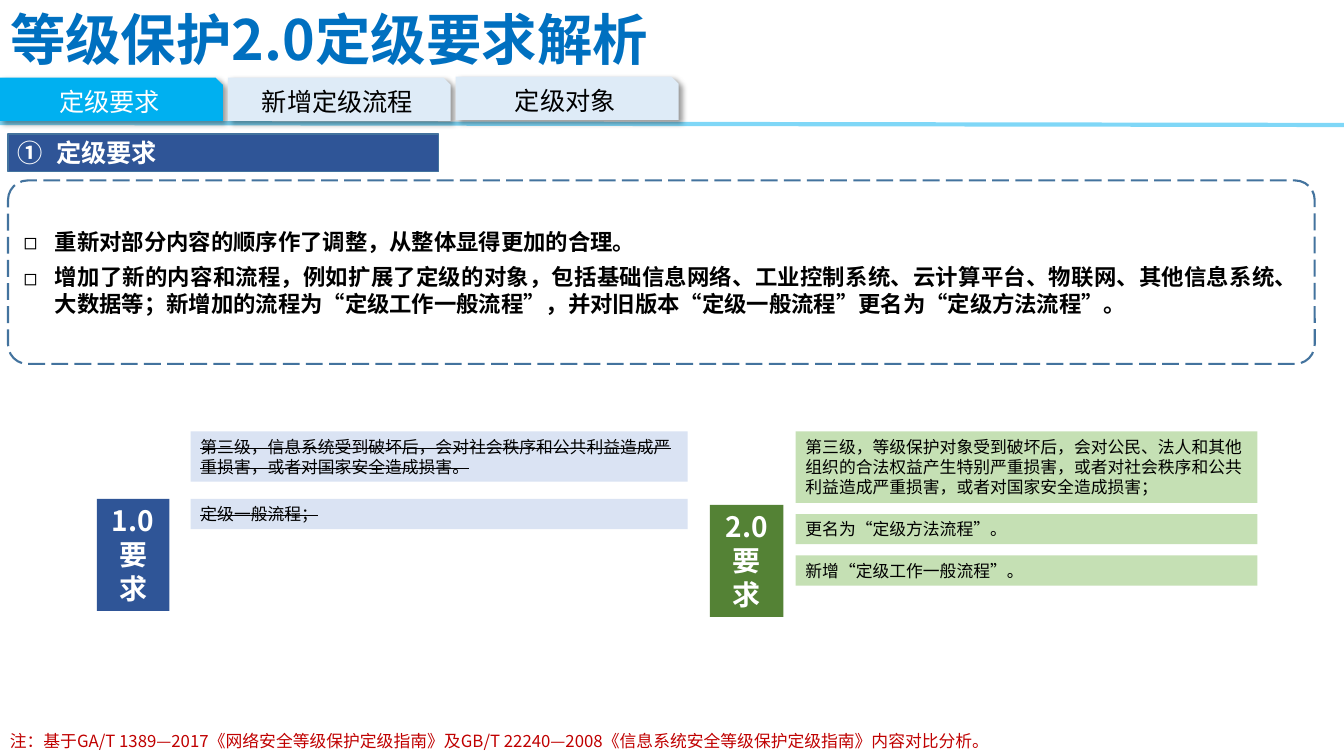
from lxml import etree
from pptx import Presentation
from pptx.dml.color import RGBColor
from pptx.enum.dml import MSO_LINE
from pptx.enum.shapes import MSO_CONNECTOR, MSO_SHAPE
from pptx.enum.text import MSO_ANCHOR, MSO_AUTO_SIZE, PP_ALIGN
from pptx.oxml.ns import qn
from pptx.util import Inches, Pt

RECT, ROUND, SNIP = MSO_SHAPE.RECTANGLE, MSO_SHAPE.ROUNDED_RECTANGLE, MSO_SHAPE.SNIP_1_RECTANGLE
STRAIGHT, LONG_DASH = MSO_CONNECTOR.STRAIGHT, MSO_LINE.LONG_DASH
TOP, MIDDLE, NO_FIT = MSO_ANCHOR.TOP, MSO_ANCHOR.MIDDLE, MSO_AUTO_SIZE.NONE
LEFT, CENTER, JUSTIFY = PP_ALIGN.LEFT, PP_ALIGN.CENTER, PP_ALIGN.JUSTIFY
FONT = "Noto Sans CJK SC"
COLORS = {
    "title": "0070C0", "active": "00B0F0", "tab": "DEEBF7", "navy": "2F5597",
    "outline": "43739E", "old": "DAE3F3", "new": "C5E0B4", "green": "548235",
    "note": "C00000", "black": "000000", "white": "FFFFFF",
}


def rgb(name):
    return RGBColor.from_string(COLORS[name])


def add_xml(parent, tag, **attrs):
    return etree.SubElement(parent, qn(tag), {k: str(v) for k, v in attrs.items()})


class Deck:
    """Builds styled elements on the current slide."""

    def __init__(self):
        self.prs = Presentation()
        self.prs.slide_width, self.prs.slide_height = Inches(13.33), Inches(7.5)
        self.slide = self.prs.slides.add_slide(self.prs.slide_layouts[5])

    def fill_text(self, sp, lines, size, color, align=LEFT, anchor=TOP, bold=False,
                  strike=False, font=FONT, bullet=None, indent=0, after=0):
        tf = sp.text_frame
        tf.word_wrap, tf.auto_size, tf.vertical_anchor = True, NO_FIT, anchor
        for i, line in enumerate(lines):
            p = tf.add_paragraph() if i else tf.paragraphs[0]
            p.alignment = align
            p.space_after = Pt(after)
            if bullet:
                pPr = p._p.get_or_add_pPr()
                pPr.set("marL", str(Inches(indent)))
                pPr.set("indent", str(-Inches(indent)))
                if len(bullet) == 1:
                    add_xml(pPr, "a:buFont", typeface=FONT)
                    add_xml(pPr, "a:buChar", char=bullet)
                else:
                    add_xml(pPr, "a:buAutoNum", type=bullet)
            r = p.add_run()
            r.text = line
            r.font.size, r.font.bold, r.font.name = Pt(size), bold, font
            r.font.color.rgb = rgb(color)
            rPr = r._r.get_or_add_rPr()
            add_xml(rPr, "a:ea", typeface=FONT)
            if strike:
                rPr.set("strike", "sngStrike")

    def title(self, box, text):
        sp = self.slide.shapes.title
        sp.left, sp.top, sp.width, sp.height = map(Inches, box)
        self.fill_text(sp, [text], 39.6, "title", JUSTIFY, MIDDLE, bold=True)

    def text(self, box, line, size, color):
        sp = self.slide.shapes.add_textbox(*map(Inches, box))
        self.fill_text(sp, [line], size, color)

    def shape(self, kind, box, lines, size, color, fill=None, line=0, dash=None,
              radius=None, shadow=False, **style):
        sp = self.slide.shapes.add_shape(kind, *map(Inches, box))
        if radius:
            sp.adjustments[0] = radius
        if fill:
            sp.fill.solid()
            sp.fill.fore_color.rgb = rgb(fill)
        else:
            sp.fill.background()
        if line:
            sp.line.color.rgb = rgb("outline")
            sp.line.width = Pt(line)
            if dash:
                sp.line.dash_style = dash
        else:
            sp.line.fill.background()
        sp.shadow.inherit = False
        if shadow:
            effects = sp._element.spPr.find(qn("a:effectLst"))
            outer = add_xml(effects, "a:outerShdw", blurRad=Pt(4), dist=Pt(3),
                            dir=45 * 60000, algn="tl", rotWithShape=0)
            clr = add_xml(outer, "a:srgbClr", val=COLORS["black"])
            add_xml(clr, "a:alpha", val=40000)
        self.fill_text(sp, lines, size, color, **style)

    def rule(self, x1, y1, x2, y2, color, width, opacity):
        c = self.slide.shapes.add_connector(STRAIGHT, *map(Inches, (x1, y1, x2, y2)))
        c.line.color.rgb = rgb(color)
        c.line.width = Pt(width)
        spPr = c._element.spPr
        add_xml(next(spPr.iter(qn("a:srgbClr"))), "a:alpha", val=opacity * 1000)
        add_xml(spPr, "a:effectLst")

    def tabs(self, tops, labels):
        for i, (top, label) in enumerate(zip(tops, labels)):
            fill, color = ("tab", "black") if i else ("active", "white")
            self.shape(SNIP, (2.26 * i, top, 2.21, 0.43), [label], 18, color, fill,
                       shadow=True, align=CENTER, anchor=MIDDLE)

    def version(self, box, number, badge, left, width, fill, items, strike=False):
        self.shape(RECT, box, [number, "要求"], 20, "white", badge, align=CENTER, bold=True)
        for top, height, text, font in items:
            self.shape(RECT, (left, top, width, height), [text], 12, "black", fill,
                       strike=strike, font=font)


def main():
    deck = Deck()
    deck.rule(0, 1.22, 13.33, 1.24, "active", 3, 50)
    deck.title((0, 0.01, 8.61, 0.75), "等级保护2.0定级要求解析")
    deck.tabs((0.77, 0.77, 0.76), ("定级要求", "新增定级流程", "定级对象"))
    deck.shape(RECT, (0.08, 1.33, 4.27, 0.37), ["定级要求"], 18, "white", "navy", line=1,
               align=JUSTIFY, anchor=MIDDLE, bold=True, bullet="circleNumDbPlain", indent=0.38)
    deck.shape(ROUND, (0.08, 1.79, 12.96, 1.82), [
        "重新对部分内容的顺序作了调整，从整体显得更加的合理。",
        "增加了新的内容和流程，例如扩展了定级的对象，包括基础信息网络、工业控制系统、云计算平台、"
        "物联网、其他信息系统、大数据等；新增加的流程为“定级工作一般流程”，并对旧版本“定级一般流程”"
        "更名为“定级方法流程”。",
    ], 16, "black", line=1.5, dash=LONG_DASH, radius=0.106, align=JUSTIFY,
        anchor=MIDDLE, bold=True, bullet="◻", indent=0.31, after=6)
    deck.version((0.96, 4.95, 0.72, 1.11), "1.0", "navy", 1.89, 4.93, "old", [
        (4.28, 0.5, "第三级，信息系统受到破坏后，会对社会秩序和公共利益造成严重损害，"
                    "或者对国家安全造成损害。", FONT),
        (4.95, 0.3, "定级一般流程；", FONT),
    ], strike=True)
    deck.version((7.04, 5.01, 0.73, 1.11), "2.0", "green", 7.89, 4.58, "new", [
        (4.28, 0.71, "第三级，等级保护对象受到破坏后，会对公民、法人和其他组织的合法权益产生"
                     "特别严重损害，或者对社会秩序和公共利益造成严重损害，或者对国家安全造成损害；",
         "Calibri"),
        (5.1, 0.3, "更名为“定级方法流程”。", FONT),
        (5.51, 0.3, "新增“定级工作一般流程”。", FONT),
    ])
    deck.text((0, 7.2, 12, 0.3), "注：基于GA/T 1389—2017《网络安全等级保护定级指南》及"
              "GB/T 22240—2008《信息系统安全等级保护定级指南》内容对比分析。", 12, "note")
    deck.prs.save("out.pptx")


if __name__ == "__main__":
    main()
